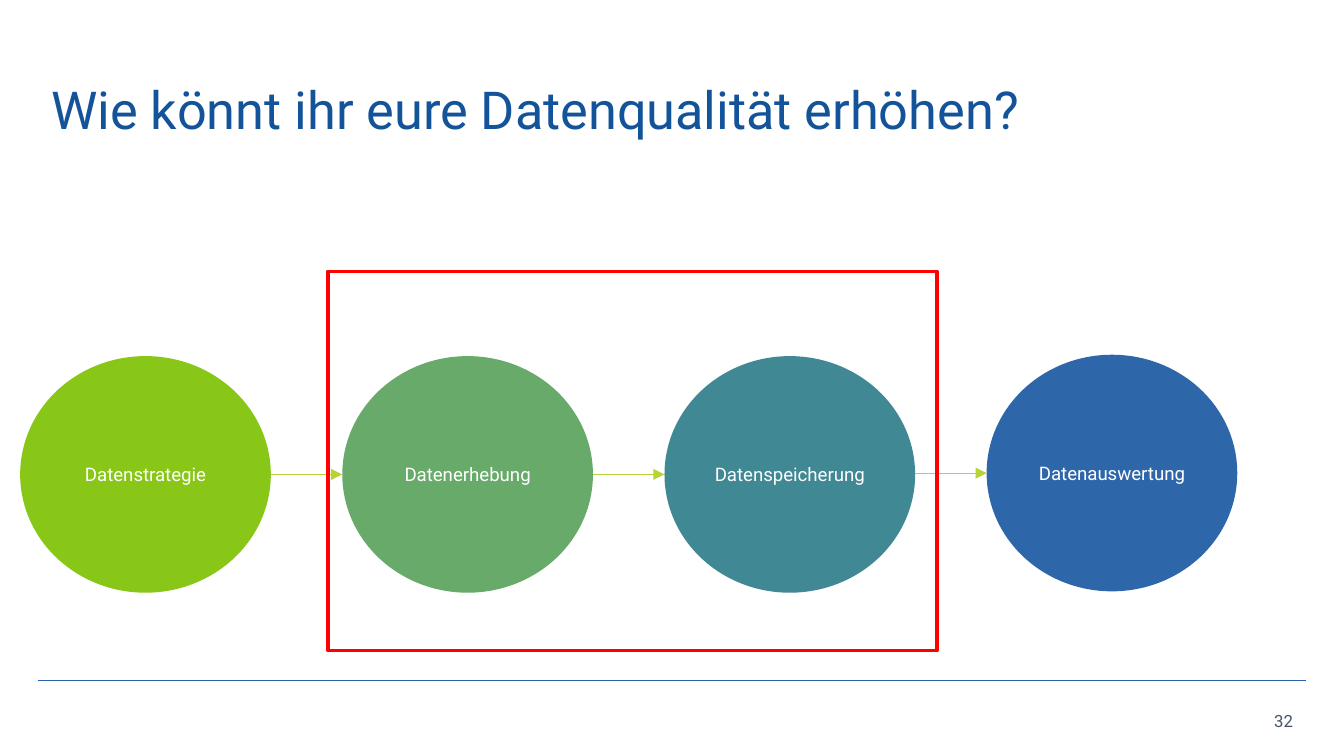
import pptx
import pptx.dml.color
import pptx.enum.shapes
import pptx.enum.text
import pptx.oxml
import pptx.oxml.ns
import pptx.util

RGBColor = pptx.dml.color.RGBColor
Align = pptx.enum.text.PP_ALIGN
Shapes = pptx.enum.shapes.MSO_SHAPE

WHITE = RGBColor(0xFE, 0xFF, 0xFE)
TITLE_BLUE = RGBColor(0x13, 0x53, 0x99)
RULE_BLUE = RGBColor(0x2A, 0x64, 0xA8)
SLATE = RGBColor(0x44, 0x54, 0x6A)
ARROW_GREEN = RGBColor(0xB7, 0xD3, 0x37)
RED = RGBColor(0xFF, 0x00, 0x00)
STEPS = [
    ("Datenstrategie", RGBColor(0x88, 0xC6, 0x17), 47.11),
    ("Datenerhebung", RGBColor(0x67, 0xAA, 0x6A), 47.11),
    ("Datenspeicherung", RGBColor(0x41, 0x88, 0x95), 47.11),
    ("Datenauswertung", RGBColor(0x2E, 0x66, 0xAA), 46.93),
]
STEP_LEFT, STEP_PITCH = 1.5, 23.97
STEP_WIDTH, STEP_HEIGHT = 18.65, 31.3


def write(text_frame, text, size, color, align=Align.LEFT, spacing=1.0, wrap=True):
    text_frame.word_wrap = wrap
    text_frame.auto_size = pptx.enum.text.MSO_AUTO_SIZE.NONE
    text_frame.vertical_anchor = pptx.enum.text.MSO_ANCHOR.MIDDLE
    paragraph = text_frame.paragraphs[0]
    paragraph.alignment = align
    paragraph.line_spacing = spacing
    run = paragraph.add_run()
    run.text = text
    run.font.name = "Roboto"
    run.font.size = pptx.util.Pt(size)
    run.font.color.rgb = color


class SlideBuilder:
    def __init__(self, presentation):
        self.column = presentation.slide_width / 100
        self.row = presentation.slide_height / 100
        self.slide = presentation.slides.add_slide(presentation.slide_layouts[5])
        self.slide.background.fill.solid()
        self.slide.background.fill.fore_color.rgb = WHITE

    def place(self, left, top, width, height):
        return (round(left * self.column), round(top * self.row),
                round(width * self.column), round(height * self.row))

    def title(self, text, *box):
        shape = self.slide.shapes.title
        shape.left, shape.top, shape.width, shape.height = self.place(*box)
        write(shape.text_frame, text, size=28, color=TITLE_BLUE, spacing=0.9)

    def page_number(self, text, *box):
        shape = self.slide.shapes.add_textbox(*self.place(*box))
        write(shape.text_frame, text, size=9, color=SLATE, align=Align.RIGHT)

    def circle(self, text, color, *box):
        shape = self.slide.shapes.add_shape(Shapes.OVAL, *self.place(*box))
        shape.shadow.inherit = False
        shape.fill.solid()
        shape.fill.fore_color.rgb = color
        shape.line.fill.background()
        write(shape.text_frame, text, size=10, color=WHITE,
              align=Align.CENTER, wrap=False)

    def frame(self, color, *box):
        shape = self.slide.shapes.add_shape(Shapes.RECTANGLE, *self.place(*box))
        shape.shadow.inherit = False
        shape.fill.background()
        shape.line.color.rgb = color
        shape.line.width = pptx.util.Pt(2)

    def horizontal(self, color, start, end, height, arrow=False):
        line = self.slide.shapes.add_connector(
            pptx.enum.shapes.MSO_CONNECTOR.STRAIGHT,
            round(start * self.column), round(height * self.row),
            round(end * self.column), round(height * self.row))
        line.line.color.rgb = color
        line.line.width = pptx.util.Pt(0.5)
        if arrow:
            head = pptx.oxml.parse_xml(
                f'<a:tailEnd {pptx.oxml.ns.nsdecls("a")} type="triangle"/>')
            line.line._get_or_add_ln().append(head)
        line._element.spPr.append(
            pptx.oxml.parse_xml(f'<a:effectLst {pptx.oxml.ns.nsdecls("a")}/>'))


def main():
    presentation = pptx.Presentation()
    presentation.slide_width = pptx.util.Inches(10)
    presentation.slide_height = pptx.util.Inches(5.625)
    builder = SlideBuilder(presentation)

    builder.horizontal(RULE_BLUE, 2.8, 97.2, 90)
    builder.page_number("32", 91.6, 92.62, 5.6, 5.33)
    builder.title("Wie könnt ihr eure Datenqualität erhöhen?", 2.8, 5.16, 94.5, 19.4)

    for index, (text, color, top) in enumerate(STEPS):
        left = STEP_LEFT + index * STEP_PITCH
        builder.circle(text, color, left, top, STEP_WIDTH, STEP_HEIGHT)
        if index:
            previous_right = left - STEP_PITCH + STEP_WIDTH
            builder.horizontal(ARROW_GREEN, previous_right, left,
                               top + STEP_HEIGHT / 2, arrow=True)

    builder.frame(RED, 24.4, 35.9, 45.3, 50.15)
    presentation.save("out.pptx")


if __name__ == "__main__":
    main()
